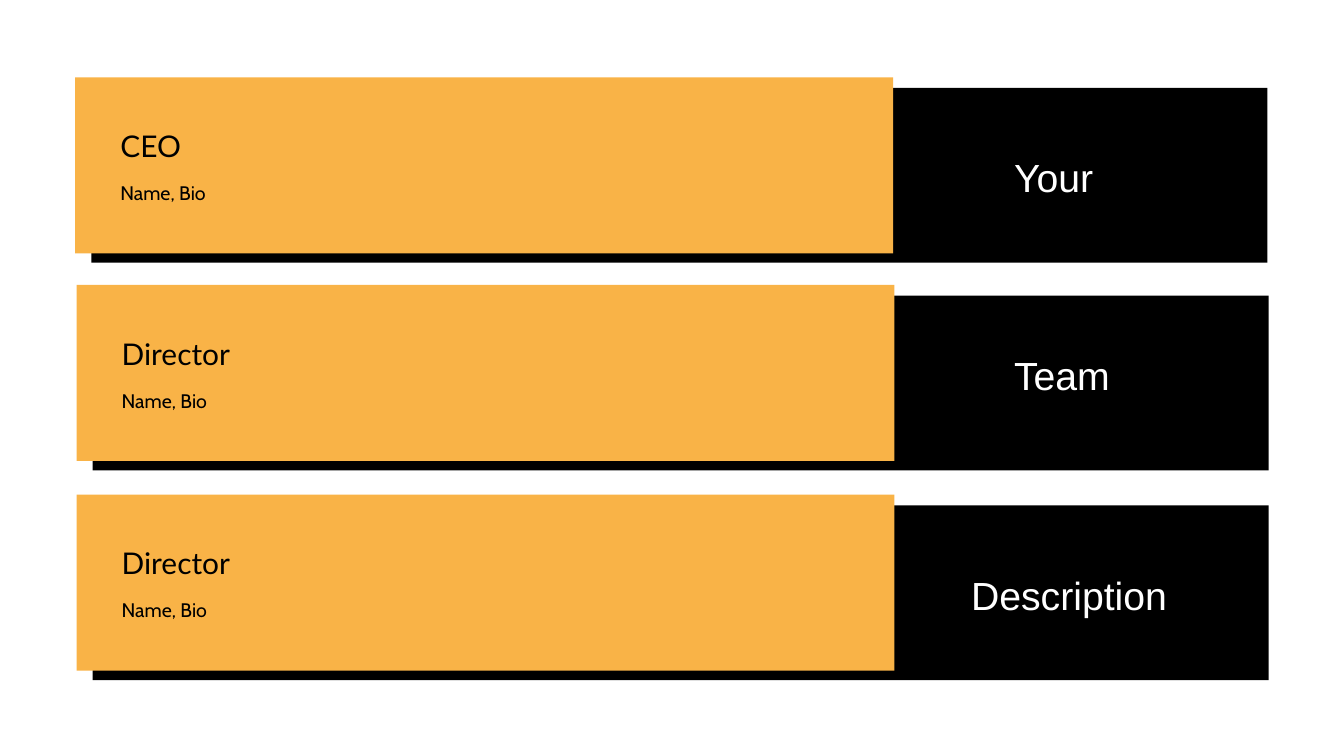
from dataclasses import dataclass

from pptx import Presentation
from pptx.dml.color import RGBColor
from pptx.enum import shapes, text
from pptx.util import Inches, Pt


@dataclass(frozen=True)
class TextStyle:
    font: str
    size: float
    spacing: float
    color: str


@dataclass(frozen=True)
class Theme:
    black: str = "000000"
    orange: str = "F9B347"
    role: TextStyle = TextStyle("Lato", 32, 38.4, "000000")
    bio: TextStyle = TextStyle("Cabin", 21, 29.8, "000000")
    heading: TextStyle = TextStyle("Arial", 42, 59.6, "FFFFFF")


class TeamPage:
    def __init__(self, page, theme):
        self.page = page
        self.theme = theme

    def panel(self, left, top, width, height, color):
        panel = self.page.shapes.add_shape(
            shapes.MSO_SHAPE.RECTANGLE,
            Inches(left), Inches(top), Inches(width), Inches(height))
        panel.shadow.inherit = False
        panel.fill.solid()
        panel.fill.fore_color.rgb = RGBColor.from_string(color)
        panel.line.fill.background()

    def label(self, left, top, width, height, words, style):
        box = self.page.shapes.add_textbox(
            Inches(left), Inches(top), Inches(width), Inches(height))
        frame = box.text_frame
        frame.word_wrap = True
        frame.auto_size = text.MSO_AUTO_SIZE.SHAPE_TO_FIT_TEXT
        frame.margin_left = frame.margin_right = 0
        frame.margin_top = frame.margin_bottom = 0
        frame.text = words
        para = frame.paragraphs[0]
        para.line_spacing = Pt(style.spacing)
        span = para.runs[0]
        span.font.name = style.font
        span.font.size = Pt(style.size)
        span.font.color.rgb = RGBColor.from_string(style.color)

    def member(self, left, top, role, heading, heading_left, heading_top):
        theme = self.theme
        self.panel(left + 0.24, top + 0.16, 17.5, 2.6, theme.black)
        self.panel(left, top, 12.17, 2.62, theme.orange)
        self.label(left + 0.67, top + 0.75, 10.85, 0.54, role, theme.role)
        self.label(left + 0.67, top + 1.48, 10.85, 0.38, "Name, Bio", theme.bio)
        self.label(heading_left, heading_top, 4.41, 0.8, heading, theme.heading)


def main():
    deck = Presentation()
    deck.slide_width = Inches(20)
    deck.slide_height = Inches(11.25)
    team = TeamPage(deck.slides.add_slide(deck.slide_layouts[6]), Theme())

    members = [
        (1.12, 1.15, "CEO", "Your", 15.09, 2.16),
        (1.14, 4.24, "Director", "Team", 15.09, 5.1),
        (1.14, 7.36, "Director", "Description", 14.45, 8.37),
    ]
    for member in members:
        team.member(*member)

    deck.save("out.pptx")


if __name__ == "__main__":
    main()
